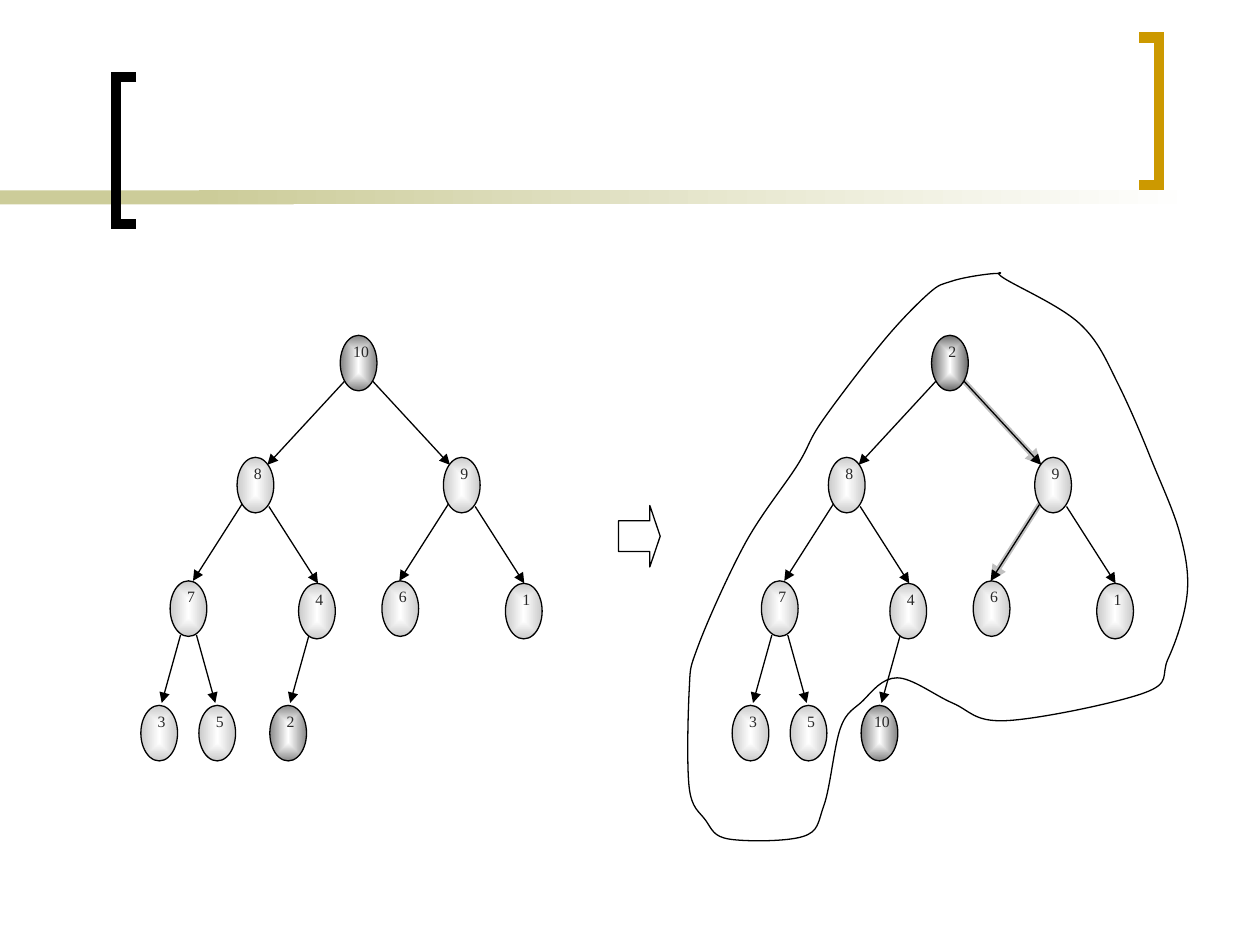
from pptx import Presentation
from pptx.dml.color import RGBColor
from pptx.enum.shapes import MSO_CONNECTOR, MSO_SHAPE
from pptx.enum.text import PP_ALIGN
from pptx.oxml import parse_xml
from pptx.oxml.ns import nsdecls, qn
from pptx.util import Cm, Pt

HUNDREDTH_INCH = Cm(2.54) / 100
TREE_OFFSET = 11.92
NODE_WIDTH, NODE_HEIGHT, LABEL_SIZE = 0.74, 1.12, 1.24
NODE_LEFTS = [6.86, 4.78, 8.94, 3.43, 6.02, 7.7, 10.19, 2.84, 4.01, 5.44]
LEVEL_TOPS = [6.76, 9.22, 11.71, 14.22]
EDGE_RULES = {1: (0.27, 1.57, 1.7, 0.15), 2: (0.27, 0.99, 1.55, 0), 3: (0.16, 0.38, 1.37, -0.05)}
HEAP_OUTLINE = [
    (756, 223), (737, 233), (700, 272), (652, 335), (633, 369), (591, 432),
    (554, 513), (547, 548), (547, 625), (560, 651), (579, 666), (637, 664),
    (654, 639), (667, 578), (685, 556), (712, 538), (756, 558), (798, 572),
    (908, 550), (927, 523), (942, 473), (936, 422), (913, 363), (887, 304),
    (857, 257), (797, 221), (792, 217),
]


def color(value):
    return RGBColor.from_string(value)


def level(index):
    return (index + 1).bit_length() - 1


def node_top(index):
    return LEVEL_TOPS[level(index)] + (0.05 if level(index) == 2 and index % 2 == 0 else 0)


def edge_ends(child):
    spread, run, rise, gap = EDGE_RULES[level(child)]
    side = -1 if child % 2 else 1
    start = NODE_LEFTS[(child - 1) // 2] + NODE_WIDTH / 2 + side * spread
    bottom = node_top(child) + gap
    return start, bottom - rise, start + side * run, bottom


def smooth_controls(points):
    controls = [points[0]]
    for i, (x1, y1) in enumerate(points):
        x0, y0 = points[i - 1]
        x2, y2 = points[(i + 1) % len(points)]
        x3, y3 = points[(i + 2) % len(points)]
        controls += [
            (x1 + (x2 - x0) / 6, y1 + (y2 - y0) / 6),
            (x2 - (x3 - x1) / 6, y2 - (y3 - y1) / 6),
            (x2, y2),
        ]
    return controls


class HeapSlide:
    font_name = "Times New Roman"
    font_size = Pt(9)
    text_color = "292929"
    line_color = "000000"
    line_width = 0.75

    def __init__(self, deck):
        self.shapes = deck.slides.add_slide(deck.slide_layouts[6]).shapes

    def outline(self, item, line_color=line_color, width=line_width):
        item.line.color.rgb = color(line_color)
        item.line.width = Pt(width)

    def preset(self, kind, left, top, width, height, fill):
        shape = self.shapes.add_shape(kind, Cm(left), Cm(top), Cm(width), Cm(height))
        shape.shadow.inherit = False
        if isinstance(fill, str):
            shape.fill.solid()
            shape.fill.fore_color.rgb = color(fill)
        else:
            shape.fill.gradient()
            shape.fill.gradient_angle = 0
            for stop, value in zip(shape.fill.gradient_stops, fill):
                stop.color.rgb = color(value)
        return shape

    def bar(self, left, width, fill):
        self.preset(MSO_SHAPE.RECTANGLE, left, 3.84, width, 0.28, fill).line.fill.background()

    def block_arrow(self, left, top, width, height):
        arrow = self.preset(MSO_SHAPE.RIGHT_ARROW, left, top, width, height, "FFFFFF")
        arrow.adjustments[0], arrow.adjustments[1] = 0.5, 0.25
        self.outline(arrow)

    def freeform(self, points, close):
        builder = self.shapes.build_freeform(*points[0], scale=HUNDREDTH_INCH)
        builder.add_line_segments(points[1:], close=close)
        shape = builder.convert_to_shape()
        shape.shadow.inherit = False
        return shape

    def bracket(self, tip, spine, top, line_color):
        bottom = top + 117
        shape = self.freeform([(tip, top), (spine, top), (spine, bottom), (tip, bottom)], False)
        shape.fill.background()
        self.outline(shape, line_color, 6)
        shape.line._get_or_add_ln().append(parse_xml(f'<a:miter {nsdecls("a")} lim="800000"/>'))

    def closed_curve(self, points):
        shape = self.freeform(smooth_controls(points), True)
        shape.fill.solid()
        shape.fill.fore_color.rgb = color("FFFFFF")
        self.outline(shape)
        segments = list(shape._element.iter(qn("a:lnTo")))
        for triple in zip(segments[::3], segments[1::3], segments[2::3]):
            curve = parse_xml(f'<a:cubicBezTo {nsdecls("a")}/>')
            triple[0].addprevious(curve)
            for segment in triple:
                curve.append(segment[0])
                segment.getparent().remove(segment)

    def node(self, text, left, top, shade):
        oval = self.preset(MSO_SHAPE.OVAL, left, top, NODE_WIDTH, NODE_HEIGHT, ("FFFFFF", shade))
        self.outline(oval)
        linear = next(oval._element.iter(qn("a:lin")))
        linear.getparent().replace(linear, parse_xml(
            f'<a:path {nsdecls("a")} path="rect">'
            '<a:fillToRect l="50000" t="50000" r="50000" b="50000"/></a:path>'))
        self.label(text, left - 0.2, top)

    def label(self, text, left, top):
        box = self.shapes.add_textbox(Cm(left), Cm(top), Cm(LABEL_SIZE), Cm(LABEL_SIZE))
        box.text_frame.word_wrap = True
        para = box.text_frame.paragraphs[0]
        para.text = text
        para.alignment = PP_ALIGN.CENTER
        span = para.runs[0]
        span.font.name = self.font_name
        span.font.size = self.font_size
        span.font.color.rgb = color(self.text_color)

    def edge(self, child, offset, line_color=line_color, width=line_width):
        x1, y1, x2, y2 = edge_ends(child)
        arrow = self.shapes.add_connector(
            MSO_CONNECTOR.STRAIGHT, Cm(x1 + offset), Cm(y1), Cm(x2 + offset), Cm(y2))
        self.outline(arrow, line_color, width)
        arrow.line._get_or_add_ln().append(parse_xml(f'<a:tailEnd {nsdecls("a")} type="triangle"/>'))
        arrow._element.spPr.append(parse_xml(f'<a:effectLst {nsdecls("a")}/>'))

    def tree(self, values, offset, root_shade, last_shade):
        for child in range(1, len(values)):
            self.edge(child, offset)
        shades = [root_shade] + ["CACACA"] * (len(values) - 2) + [last_shade]
        for index, (value, left, shade) in enumerate(zip(values, NODE_LEFTS, shades)):
            self.node(value, left + offset, node_top(index), shade)


def main():
    deck = Presentation()
    deck.slide_width, deck.slide_height = Cm(25.4), Cm(19.05)
    page = HeapSlide(deck)
    page.bar(0, 5.92, "CCCC99")
    page.bar(4.01, 20.12, ("CCCC99", "FFFFFF"))
    page.bracket(108, 92, 61, "000000")
    page.bracket(904, 920, 30, "CC9900")
    page.closed_curve(HEAP_OUTLINE)
    values = "10 8 9 7 4 6 1 3 5 2".split()
    page.tree(values, 0, "828282", "8A8A8A")
    for child in (values.index("6"), values.index("9")):
        page.edge(child, TREE_OFFSET, "C0C0C0", 3)
    values[0], values[-1] = values[-1], values[0]
    page.tree(values, TREE_OFFSET, "696969", "828282")
    page.block_arrow(12.47, 10.19, 0.84, 1.24)
    deck.save("out.pptx")


if __name__ == "__main__":
    main()
